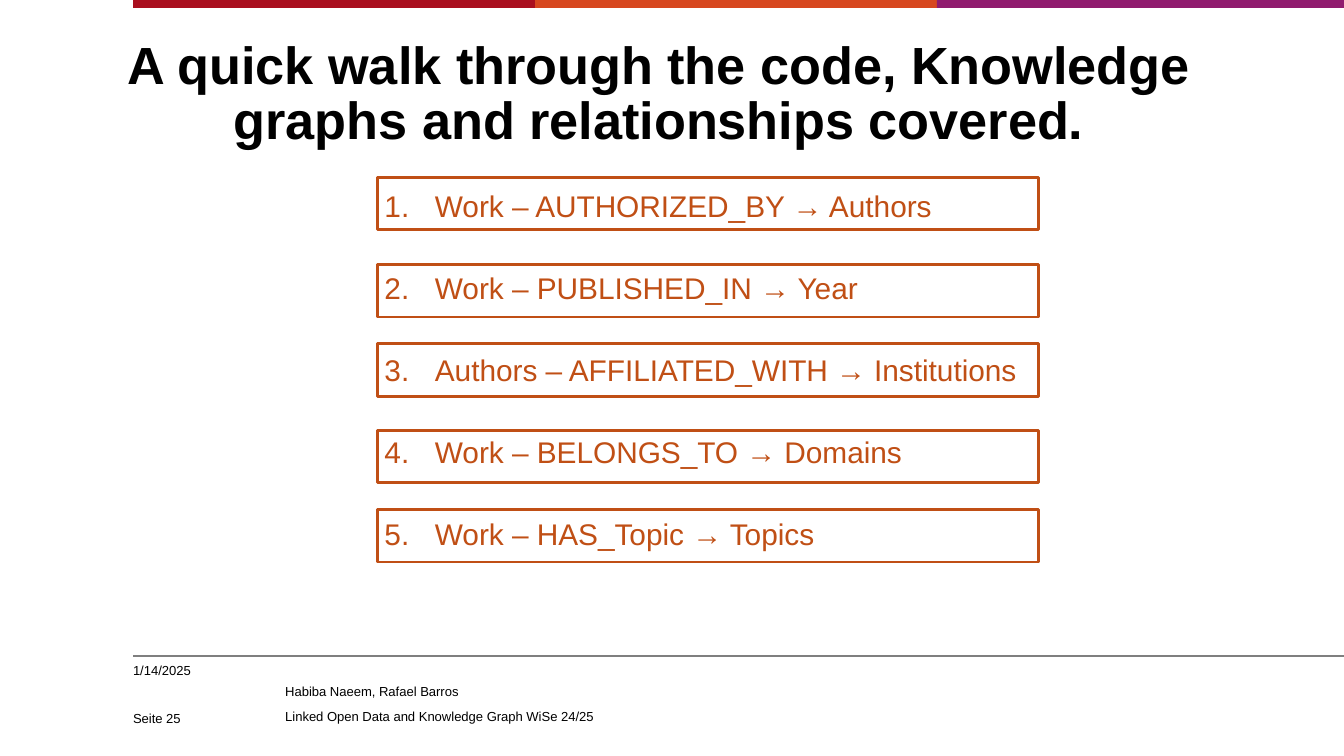
from dataclasses import dataclass

from lxml.etree import SubElement
from pptx import Presentation
from pptx.dml.color import RGBColor
from pptx.enum.shapes import MSO_CONNECTOR as Connector, MSO_SHAPE as Shape
from pptx.enum.text import MSO_ANCHOR as Anchor, PP_ALIGN as Align
from pptx.oxml.ns import qn
from pptx.slide import Slide
from pptx.text.text import TextFrame
from pptx.util import Pt

COLORS = {
    "red": "AA0F1F",
    "orange": "D7471F",
    "purple": "901B6E",
    "rule": "7F7F7F",
    "text": "000000",
    "relation": "C04F15",
}
FONT = "Arial"
SLIDE_WIDTH, SLIDE_HEIGHT = 720, 405
MARGIN = 71.3


@dataclass
class Area:
    left: float
    top: float
    width: float
    height: float

    def lengths(self) -> tuple:
        return Pt(self.left), Pt(self.top), Pt(self.width), Pt(self.height)


@dataclass
class Style:
    size: float
    color: str = "text"
    bold: bool = False
    align: Align = Align.LEFT
    line_spacing: float = 1.0
    gap: float = 0


@dataclass
class Relation:
    text: str
    frame_top: float


RELATIONS = [
    Relation("Work – AUTHORIZED_BY → Authors", 95),
    Relation("Work – PUBLISHED_IN → Year", 141.8),
    Relation("Authors – AFFILIATED_WITH → Institutions", 184.2),
    Relation("Work – BELONGS_TO → Domains", 230.6),
    Relation("Work – HAS_Topic → Topics", 273),
]
BANDS = [("red", 215.3), ("orange", 215.3), ("purple", 218.1)]
SMALL = Style(7, gap=5)
TITLE = Style(28, bold=True, align=Align.CENTER, line_spacing=0.88)
LISTING = Style(16, "relation", line_spacing=0.9, gap=26.6)


def rgb(name: str) -> RGBColor:
    return RGBColor.from_string(COLORS[name])


def add_text(slide: Slide, area: Area, lines: list[str], style: Style,
             anchor: Anchor = Anchor.TOP,
             insets: tuple = (0, 0, 0, 0)) -> TextFrame:
    """Add one paragraph per line; insets run left, top, right, bottom."""
    frame = slide.shapes.add_textbox(*area.lengths()).text_frame
    frame.word_wrap = True
    frame.vertical_anchor = anchor
    (frame.margin_left, frame.margin_top,
     frame.margin_right, frame.margin_bottom) = map(Pt, insets)
    frame.text = "\n".join(lines)
    for index, para in enumerate(frame.paragraphs):
        para.alignment = style.align
        para.line_spacing = style.line_spacing
        para.space_before = Pt(style.gap if index else 0)
        para.font.name = FONT
        para.font.size = Pt(style.size)
        para.font.bold = style.bold
        para.font.color.rgb = rgb(style.color)
    return frame


def number_paragraphs(frame: TextFrame, left: float, hanging: float) -> None:
    for para in frame.paragraphs:
        properties = para._p.get_or_add_pPr()
        properties.set("marL", str(Pt(left)))
        properties.set("indent", str(-Pt(hanging)))
        bullet_font = SubElement(properties, qn("a:buFont"))
        bullet_font.set("typeface", FONT)
        SubElement(properties, qn("a:buAutoNum")).set("type", "arabicPeriod")


def add_band(slide: Slide, area: Area, color: str) -> None:
    band = slide.shapes.add_shape(Shape.RECTANGLE, *area.lengths())
    band.shadow.inherit = False
    band.fill.solid()
    band.fill.fore_color.rgb = rgb(color)
    band.line.fill.background()


def add_frame(slide: Slide, area: Area) -> None:
    box = slide.shapes.add_shape(Shape.RECTANGLE, *area.lengths())
    box.shadow.inherit = False
    box.fill.background()
    box.line.color.rgb = rgb("relation")
    box.line.width = Pt(1.5)


def add_rule(slide: Slide, left: float, right: float, top: float) -> None:
    rule = slide.shapes.add_connector(
        Connector.STRAIGHT, Pt(left), Pt(top), Pt(right), Pt(top))
    rule.line.color.rgb = rgb("rule")
    rule.line.width = Pt(0.75)
    SubElement(rule._element.spPr, qn("a:effectLst"))


def main() -> None:
    deck = Presentation()
    deck.slide_width, deck.slide_height = Pt(SLIDE_WIDTH), Pt(SLIDE_HEIGHT)
    slide = deck.slides.add_slide(deck.slide_layouts[6])

    left = MARGIN
    for color, width in BANDS:
        add_band(slide, Area(left, 0, width, 4.3), color)
        left += width

    add_text(slide, Area(59.8, 11.5, 586, 69.1),
             ["A quick walk through the code, Knowledge graphs "
              "and relationships covered."],
             TITLE, Anchor.BOTTOM, (0, 8.6, 0, 0))

    listing = add_text(slide, Area(176.4, 99.4, 411.8, 247),
                       [relation.text for relation in RELATIONS],
                       LISTING, insets=(7.2, 3.6, 7.2, 3.6))
    number_paragraphs(listing, left=49.5, hanging=27)
    for relation in RELATIONS:
        add_frame(slide, Area(202.3, relation.frame_top, 354.2, 28.1))

    add_rule(slide, MARGIN, SLIDE_WIDTH, 351.4)
    add_text(slide, Area(MARGIN, 355, 76.3, 10.8), ["1/14/2025"], SMALL)
    add_text(slide, Area(MARGIN, 375.8, 76.3, 13), ["Seite 25"], SMALL,
             Anchor.BOTTOM)
    add_text(slide, Area(152.8, 366, 310.3, 24.3),
             ["Habiba Naeem, Rafael Barros",
              "Linked Open Data and Knowledge Graph WiSe 24/25"], SMALL)

    deck.save("out.pptx")


if __name__ == "__main__":
    main()
